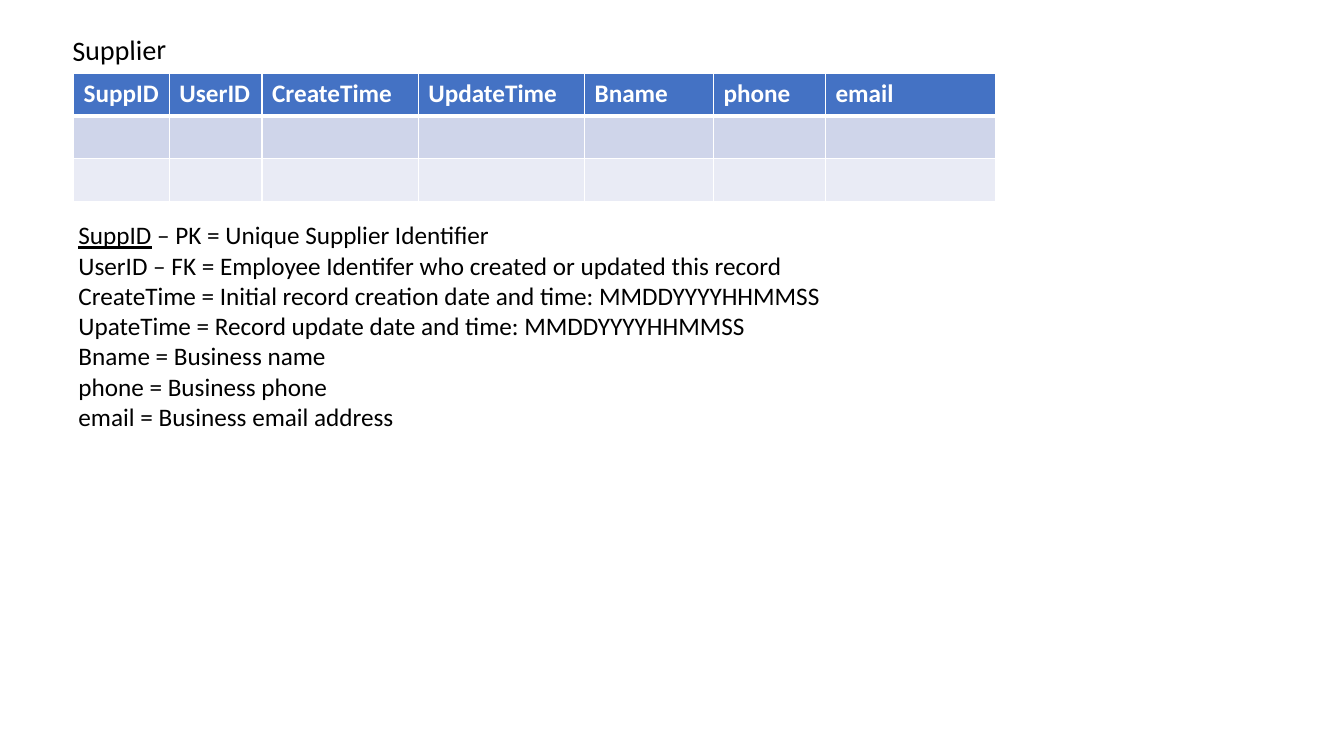
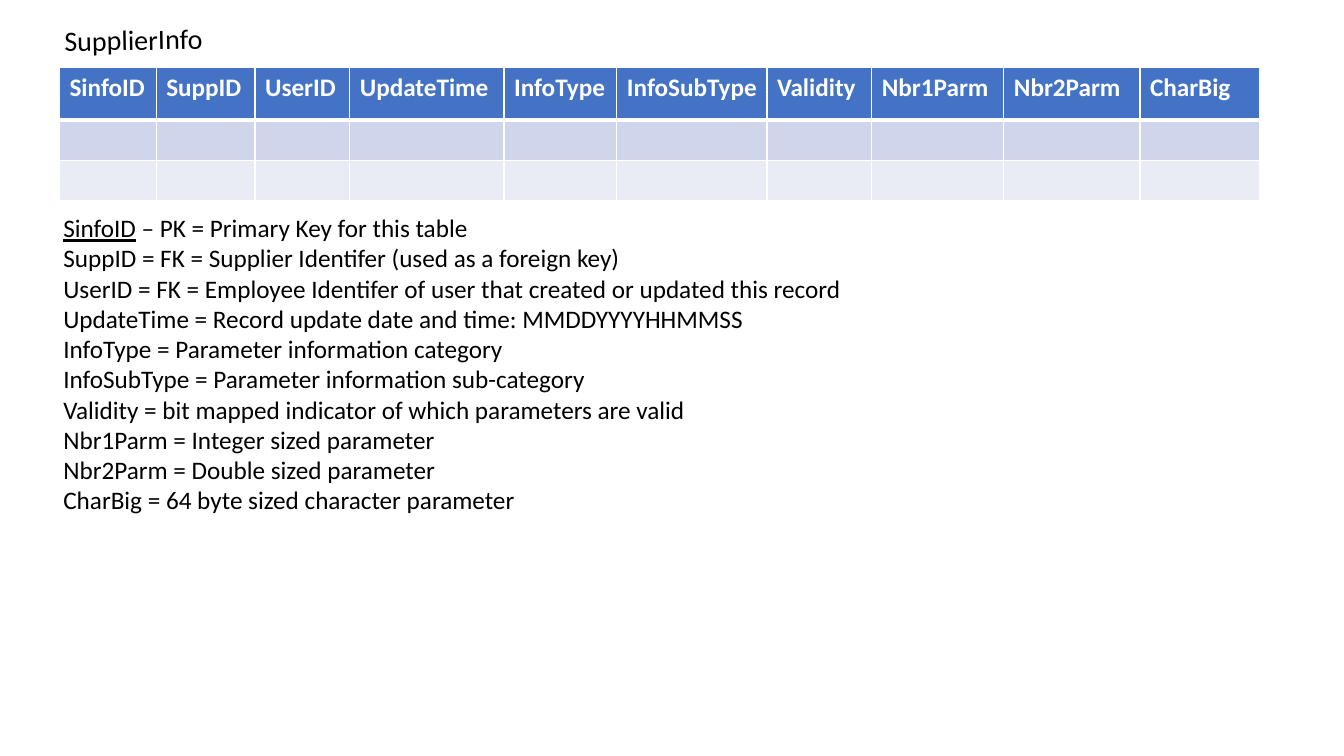
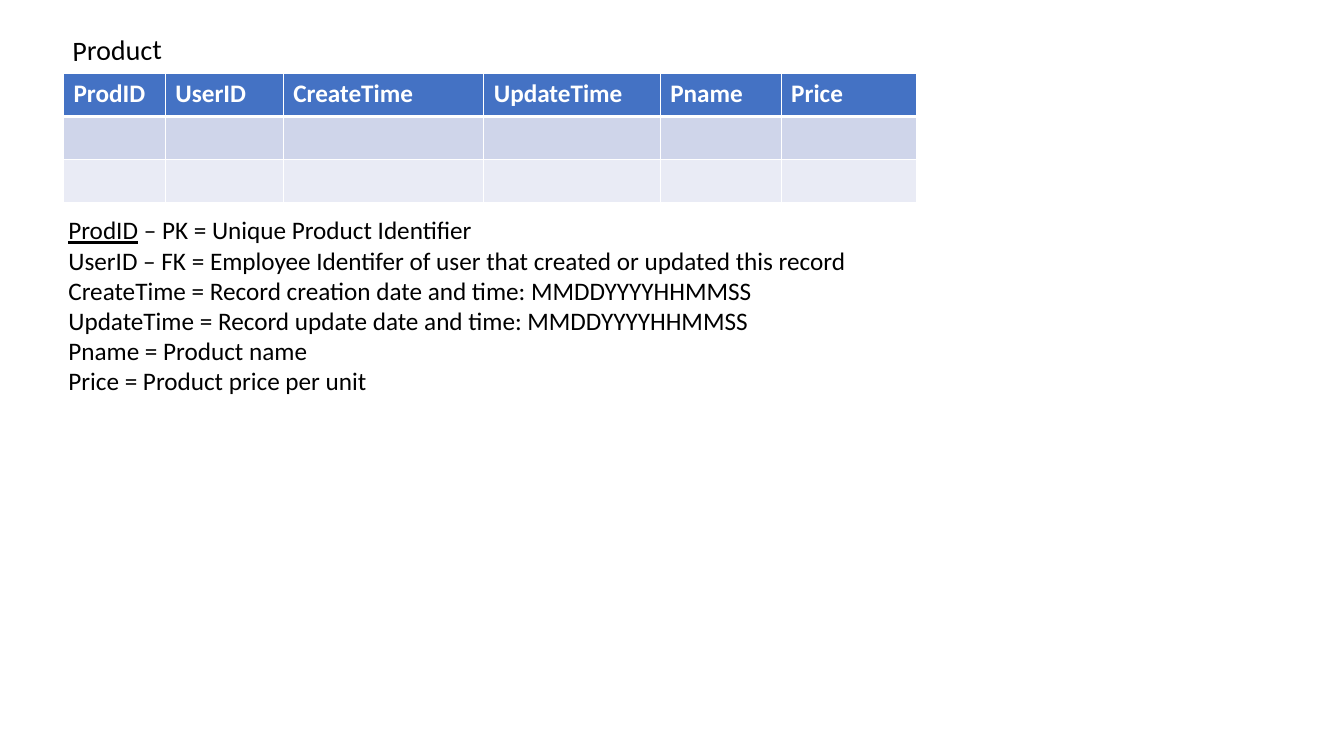
from dataclasses import dataclass
from typing import Any, Optional

from lxml.etree import SubElement
from pptx import Presentation
from pptx.dml.color import RGBColor
from pptx.enum.text import MSO_AUTO_SIZE
from pptx.oxml.ns import qn
from pptx.util import Inches, Pt

# One grid unit is a tenth of an inch, across and down.
GRID_UNIT = Inches(0.1)
SLIDE_COLUMNS, SLIDE_ROWS = 133.33, 75


@dataclass(frozen=True)
class Theme:
    """Colours, type and line weights shared by all slides."""
    font: str = "Calibri"
    text: str = "000000"
    header_text: str = "FFFFFF"
    header_fill: str = "4472C4"
    band_fills: tuple[str, ...] = ("CFD5EA", "E9EBF5")
    border: str = "FFFFFF"
    title_size: int = 20
    body_size: int = 18
    border_width: int = 1
    header_rule_width: int = 3
    title_rotation: int = 359
    title_height: float = 4.4
    line_height: float = 3.03
    box_padding: float = 1


@dataclass(frozen=True)
class Field:
    """A table column, its width in grid columns and its explanation."""
    name: str
    width: float
    meaning: str
    label: Optional[str] = None


@dataclass(frozen=True)
class Place:
    """Left, top and width in grid units."""
    left: float
    top: float
    width: float


@dataclass(frozen=True)
class Entity:
    """One database table described on one slide."""
    title: str
    title_place: Place
    meanings_place: Place
    table_left: float
    table_top: float
    header_height: float
    row_height: float
    fields: tuple[Field, ...]


THEME = Theme()

ENTITIES = (
    Entity(
        "Supplier", Place(6.2, 2.7, 14), Place(6.8, 21.3, 91.4), 7.3, 7.3, 4.23, 4.23,
        (
            Field("SuppID", 9.5, " – PK = Unique Supplier Identifier"),
            Field("UserID", 9.2, " – FK = Employee Identifer who created or updated this record"),
            Field("CreateTime", 15.5, " = Initial record creation date and time: MMDDYYYYHHMMSS"),
            Field("UpdateTime", 16.5, " = Record update date and time: MMDDYYYYHHMMSS", "UpateTime"),
            Field("Bname", 12.8, " = Business name"),
            Field("phone", 11.1, " = Business phone"),
            Field("email", 16.9, " = Business email address"),
        ),
    ),
    Entity(
        "SupplierInfo", Place(5.4, 1.7, 18.7), Place(5.3, 20.6, 93.3), 5.9, 6.7, 5.2, 4,
        (
            Field("SinfoID", 9.6, " – PK = Primary Key for this table"),
            Field("SuppID", 9.8, " = FK = Supplier Identifer (used as a foreign key)"),
            Field("UserID", 9.4, " = FK = Employee Identifer of user that created or updated this record"),
            Field("UpdateTime", 15.3, " = Record update date and time: MMDDYYYYHHMMSS"),
            Field("InfoType", 11.2, " = Parameter information category"),
            Field("InfoSubType", 14.9, " = Parameter information sub-category"),
            Field("Validity", 10.4, " = bit mapped indicator of which parameters are valid"),
            Field("Nbr1Parm", 13.1, " = Integer sized parameter"),
            Field("Nbr2Parm", 13.5, " = Double sized parameter"),
            Field("CharBig", 11.9, " = 64 byte sized character parameter"),
        ),
    ),
    Entity(
        "Product", Place(6.2, 2.7, 14), Place(5.8, 20.8, 93.5), 6.3, 7.3, 4.27, 4.27,
        (
            Field("ProdID", 10.1, " – PK = Unique Product Identifier"),
            Field("UserID", 11.7, " – FK = Employee Identifer of user that created or updated this record"),
            Field("CreateTime", 19.9, " = Record creation date and time: MMDDYYYYHHMMSS"),
            Field("UpdateTime", 17.5, " = Record update date and time: MMDDYYYYHHMMSS"),
            Field("Pname", 12, " = Product name"),
            Field("Price", 13.4, " = Product price per unit"),
        ),
    ),
)


def grid(units: float) -> int:
    """Convert grid units to a slide length."""
    return round(units * GRID_UNIT)


def set_attributes(target: Any, values: dict[str, Any]) -> None:
    """Set each named attribute on the target."""
    for name, value in values.items():
        setattr(target, name, value)


def add_run(paragraph: Any, text: str, size: int, color: str, **extra: Any) -> None:
    """Add a run of text in the theme font."""
    run = paragraph.add_run()
    run.text = text
    set_attributes(run.font, {"name": THEME.font, "size": Pt(size), **extra})
    run.font.color.rgb = RGBColor.from_string(color)


def add_text_box(slide: Any, place: Place, height: float) -> Any:
    """Add a wrapping text box that fits its text."""
    shape = slide.shapes.add_textbox(
        grid(place.left), grid(place.top), grid(place.width), grid(height))
    set_attributes(shape.text_frame, {
        "word_wrap": True, "auto_size": MSO_AUTO_SIZE.SHAPE_TO_FIT_TEXT})
    return shape


def add_title(slide: Any, entity: Entity) -> None:
    """Add the slightly tilted entity name."""
    shape = add_text_box(slide, entity.title_place, THEME.title_height)
    shape.rotation = THEME.title_rotation
    add_run(shape.text_frame.paragraphs[0], entity.title, THEME.title_size, THEME.text)


def add_meanings(slide: Any, entity: Entity) -> None:
    """Explain every field on its own line, underlining the primary key."""
    height = THEME.line_height * len(entity.fields) + THEME.box_padding
    frame = add_text_box(slide, entity.meanings_place, height).text_frame
    for index, field in enumerate(entity.fields):
        label = field.label or field.name
        if index == 0:
            paragraph = frame.paragraphs[0]
            add_run(paragraph, label, THEME.body_size, THEME.text, underline=True)
            add_run(paragraph, field.meaning, THEME.body_size, THEME.text)
        else:
            add_run(frame.add_paragraph(), label + field.meaning,
                    THEME.body_size, THEME.text)


def style_cell(cell: Any, fill: str, top: int, bottom: int) -> None:
    """Give a cell its borders and fill."""
    properties = cell._tc.get_or_add_tcPr()
    widths = {"lnL": THEME.border_width, "lnR": THEME.border_width,
              "lnT": top, "lnB": bottom}
    for side, width in widths.items():
        line = SubElement(properties, qn(f"a:{side}"), w=str(Pt(width)))
        line_fill = SubElement(line, qn("a:solidFill"))
        SubElement(line_fill, qn("a:srgbClr"), val=THEME.border)
    cell.fill.solid()
    cell.fill.fore_color.rgb = RGBColor.from_string(fill)


def add_field_table(slide: Any, entity: Entity) -> None:
    """Add the header row of field names and the empty banded rows."""
    fills = (THEME.header_fill, *THEME.band_fills)
    heights = (entity.header_height, *[entity.row_height] * len(THEME.band_fills))
    rules = (THEME.border_width, THEME.header_rule_width,
             *[THEME.border_width] * len(THEME.band_fills))
    table = slide.shapes.add_table(
        len(fills), len(entity.fields), grid(entity.table_left), grid(entity.table_top),
        grid(sum(field.width for field in entity.fields)), grid(sum(heights))).table
    for column, field in zip(table.columns, entity.fields):
        column.width = grid(field.width)
    for index, (row, fill, height) in enumerate(zip(table.rows, fills, heights)):
        row.height = grid(height)
        for cell in row.cells:
            style_cell(cell, fill, rules[index], rules[index + 1])
    for cell, field in zip(table.rows[0].cells, entity.fields):
        add_run(cell.text_frame.paragraphs[0], field.name,
                THEME.body_size, THEME.header_text, bold=True)


def build_presentation() -> None:
    """Draw one slide per entity and save the file."""
    presentation = Presentation()
    set_attributes(presentation, {
        "slide_width": grid(SLIDE_COLUMNS), "slide_height": grid(SLIDE_ROWS)})
    blank_layout = presentation.slide_layouts[6]
    for entity in ENTITIES:
        slide = presentation.slides.add_slide(blank_layout)
        add_title(slide, entity)
        add_meanings(slide, entity)
        add_field_table(slide, entity)
    presentation.save("out.pptx")


build_presentation()
